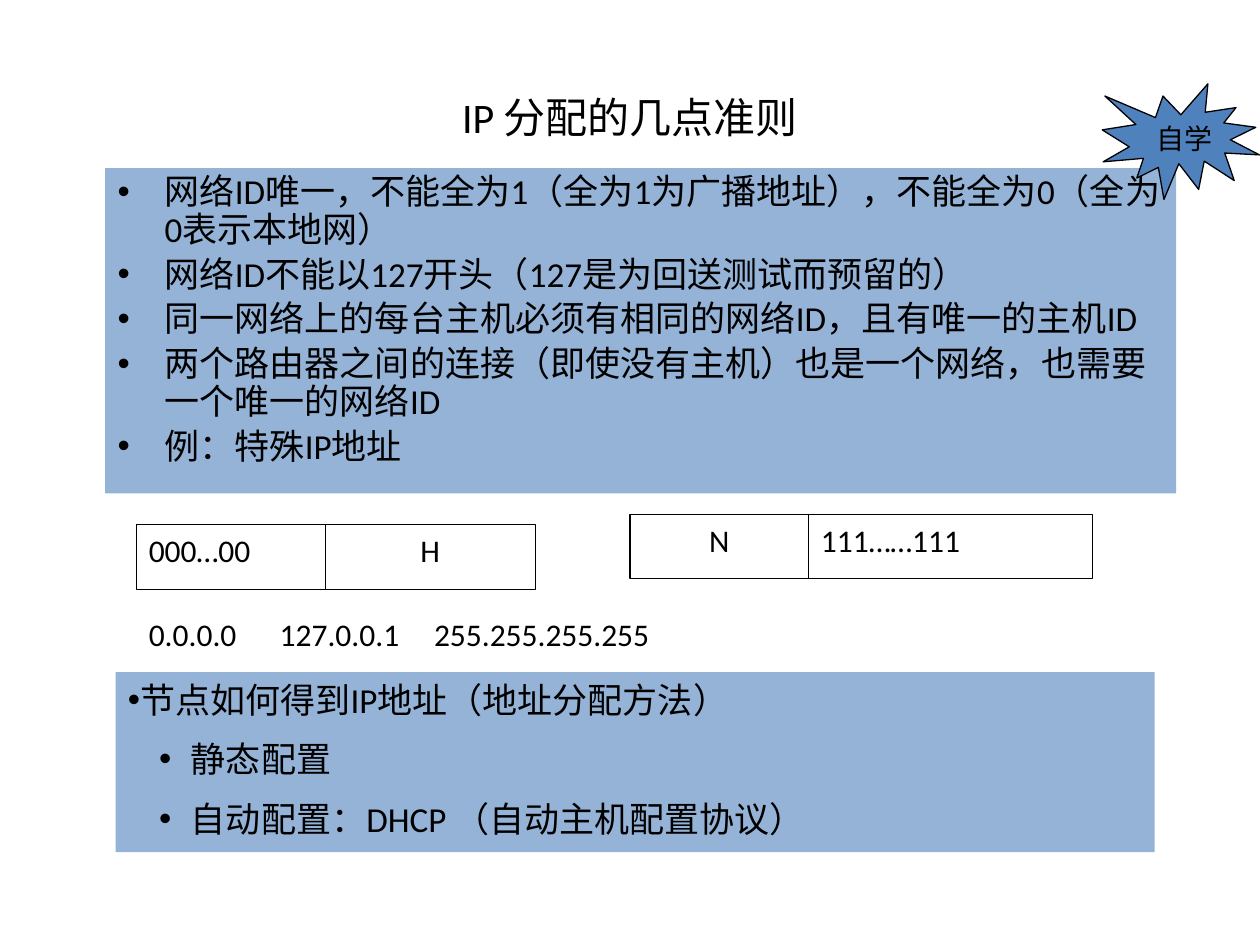
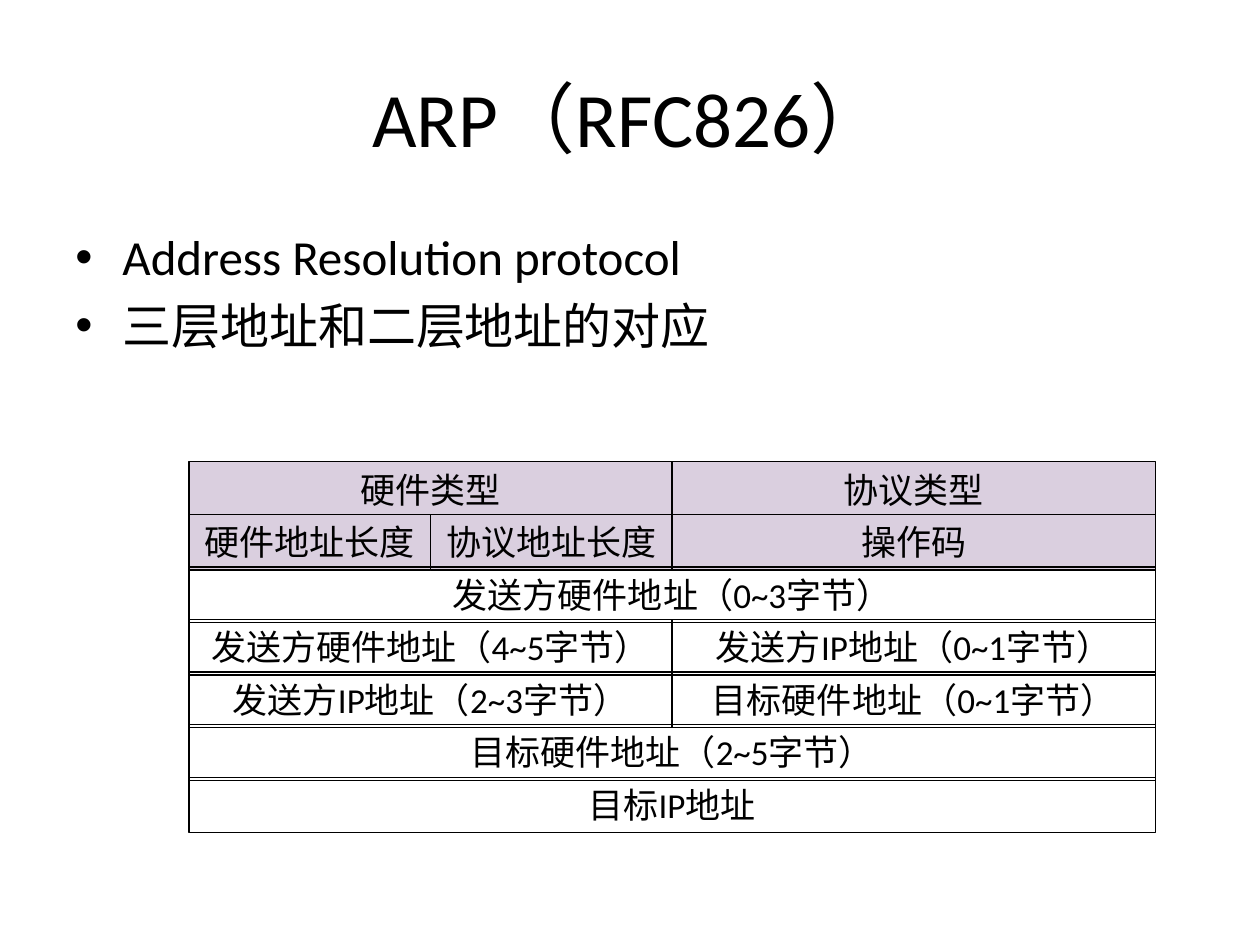
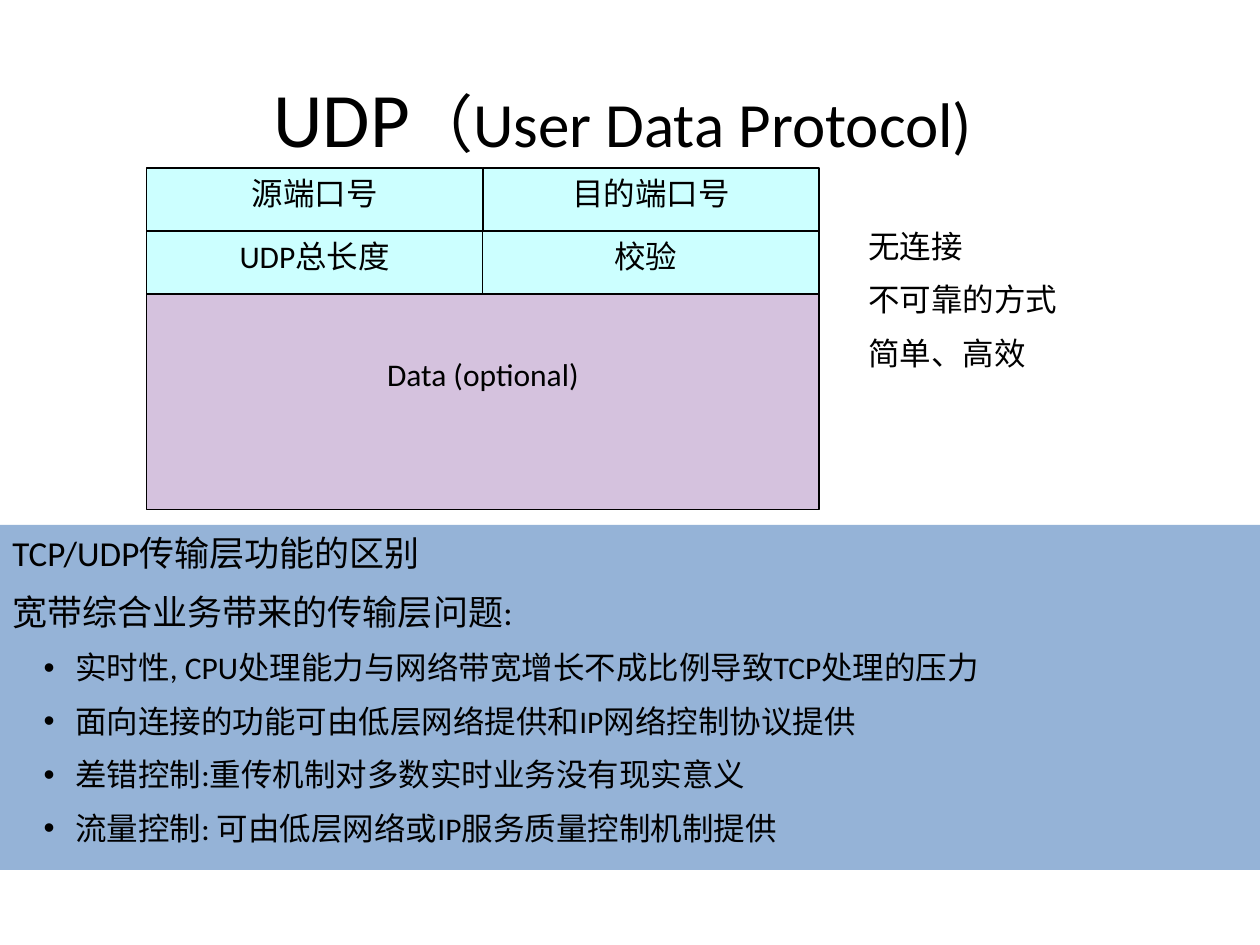
from lxml.etree import SubElement
from pptx import Presentation
from pptx.dml.color import RGBColor
from pptx.enum.shapes import MSO_SHAPE
from pptx.enum.text import MSO_ANCHOR, PP_ALIGN
from pptx.oxml.ns import qn
from pptx.util import Cm, Pt

hue = RGBColor.from_string
INK = "000000"
BLUE = "95B3D7"
LILAC = "DACFDF"
MAUVE = "D5C2DE"
AQUA = "CCFFFF"
SEAL = "4F81BD"
RECT = MSO_SHAPE.RECTANGLE
LIST = dict(left=0.95, hang=0.95, dot=True, gap=0.2)
SUB = dict(left=1.27, hang=0.64, dot=True)


def box(page, x, y, w, h, kind=RECT, fill=None, line=None):
    item = page.shapes.add_shape(kind, Cm(x), Cm(y), Cm(w), Cm(h))
    item.shadow.inherit = False
    if fill:
        item.fill.solid()
        item.fill.fore_color.rgb = hue(fill)
    else:
        item.fill.background()
    if line:
        item.line.color.rgb = hue(line)
        item.line.width = Pt(0.75)
    else:
        item.line.fill.background()
    frame = item.text_frame
    frame.word_wrap = True
    frame.vertical_anchor = MSO_ANCHOR.TOP
    return frame


def write(frame, *parts, size=18, font="Calibri", mid=False, gap=0.5,
          space=None, left=0, hang=0, dot=False):
    first = not frame.text
    para = frame.paragraphs[0] if first else frame.add_paragraph()
    para.alignment = PP_ALIGN.CENTER if mid else PP_ALIGN.LEFT
    if not first:
        para.space_before = Pt(size * gap)
    if space:
        para.line_spacing = space
    if dot:
        props = para._p.get_or_add_pPr()
        props.set("marL", str(Cm(left)))
        props.set("indent", str(-Cm(hang)))
        SubElement(props, qn("a:buFont")).set("typeface", "Arial")
        SubElement(props, qn("a:buChar")).set("char", "•")
    for part in parts:
        text, points = (part, size) if isinstance(part, str) else part
        run = para.add_run()
        run.text = text
        run.font.size = Pt(points)
        run.font.name = font
        run.font.color.rgb = hue(INK)
    return para


deck = Presentation()
deck.slide_width, deck.slide_height = Cm(25.4), Cm(19.05)

heads = [
    [("IP 分配的几点准则", 24)],
    [("ARP（RFC826）", 44)],
    [("UDP", 44), ("（User Data Protocol) ", 36)],
]
pages = []
for head in heads:
    page = deck.slides.add_slide(deck.slide_layouts[6])
    frame = box(page, 1.27, 0.76, 22.86, 3.18)
    frame.vertical_anchor = MSO_ANCHOR.MIDDLE
    write(frame, *head, mid=True)
    pages.append(page)
rules, arp, udp = pages

frame = box(rules, 2.12, 3.39, 21.59, 6.56, fill=BLUE)
for text in [
    "网络ID唯一，不能全为1（全为1为广播地址），不能全为0（全为0表示本地网）",
    "网络ID不能以127开头（127是为回送测试而预留的）",
    "同一网络上的每台主机必须有相同的网络ID，且有唯一的主机ID",
    "两个路由器之间的连接（即使没有主机）也是一个网络，也需要一个唯一的网络ID",
    "例：特殊IP地址",
]:
    write(frame, text, size=20, space=0.9, **LIST)

for text, x, y, w, mid in [
    ("000…00", 2.75, 10.58, 3.81, False),
    ("H", 6.56, 10.58, 4.23, True),
    ("N", 12.7, 10.37, 3.6, True),
    ("111……111", 16.3, 10.37, 5.72, False),
]:
    write(box(rules, x, y, w, 1.3, line=INK), text, mid=mid)

para = write(box(rules, 2.75, 12.28, 16.51, 1.27),
             "0.0.0.0\t127.0.0.1\t255.255.255.255")
tabs = SubElement(para._p.get_or_add_pPr(), qn("a:tabLst"))
for stop in (2.64, 5.75):
    tab = SubElement(tabs, qn("a:tab"))
    tab.set("pos", str(Cm(stop)))
    tab.set("algn", "l")

frame = box(rules, 2.33, 13.55, 20.95, 3.63, fill=BLUE)
write(frame, "节点如何得到IP地址（地址分配方法）", size=20, dot=True)
for text in ["静态配置", "自动配置：DHCP （自动主机配置协议）"]:
    write(frame, text, size=20, **SUB)

box(rules, 22.22, 1.69, 3.17, 2.33, kind=MSO_SHAPE.EXPLOSION1,
    fill=SEAL, line=INK)
write(box(rules, 23.07, 2.33, 1.7, 0.94), "自学", size=16)

frame = box(arp, 1.27, 4.45, 22.86, 12.57)
for text in ["Address Resolution protocol", "三层地址和二层地址的对应"]:
    write(frame, text, size=28, **LIST)

rows = [
    [("硬件类型", 2), ("协议类型", 2)],
    [("硬件地址长度", 1), ("协议地址长度", 1), ("操作码", 2)],
    [("发送方硬件地址（0~3字节）", 4)],
    [("发送方硬件地址（4~5字节）", 2), ("发送方IP地址（0~1字节）", 2)],
    [("发送方IP地址（2~3字节）", 2), ("目标硬件地址（0~1字节）", 2)],
    [("目标硬件地址（2~5字节）", 4)],
    [("目标IP地址", 4)],
]
for num, row in enumerate(rows):
    col = 0
    for text, span in row:
        frame = box(arp, 3.81 + col * 4.87, 9.31 + num * 1.06,
                    span * 4.87, 1.12, line=INK,
                    fill=LILAC if num < 2 else None)
        write(frame, text, size=20, mid=True)
        col += span

for text, x, y, w in [
    ("目的端口号", 9.74, 3.39, 6.77),
    ("源端口号", 2.96, 3.39, 6.77),
    ("校验", 9.53, 4.66, 6.98),
    ("UDP总长度", 2.96, 4.66, 6.77),
]:
    write(box(udp, x, y, w, 1.3, fill=AQUA, line=INK), text, mid=True)

frame = box(udp, 2.96, 5.93, 13.55, 4.34, fill=MAUVE, line=INK)
frame.margin_top = Cm(1.22)
write(frame, "Data (optional)", mid=True)

frame = box(udp, 17.25, 4.45, 7.09, 4.32)
for text in ["无连接", "不可靠的方式", "简单、高效"]:
    write(frame, text, font="Lato")

frame = box(udp, 0, 10.58, 25.4, 6.96, fill=BLUE)
for text in ["TCP/UDP传输层功能的区别", "宽带综合业务带来的传输层问题:"]:
    write(frame, text, size=20)
for text in [
    "实时性, CPU处理能力与网络带宽增长不成比例导致TCP处理的压力",
    "面向连接的功能可由低层网络提供和IP网络控制协议提供",
    "差错控制:重传机制对多数实时业务没有现实意义",
    "流量控制: 可由低层网络或IP服务质量控制机制提供",
]:
    write(frame, text, **SUB)

deck.save("out.pptx")
